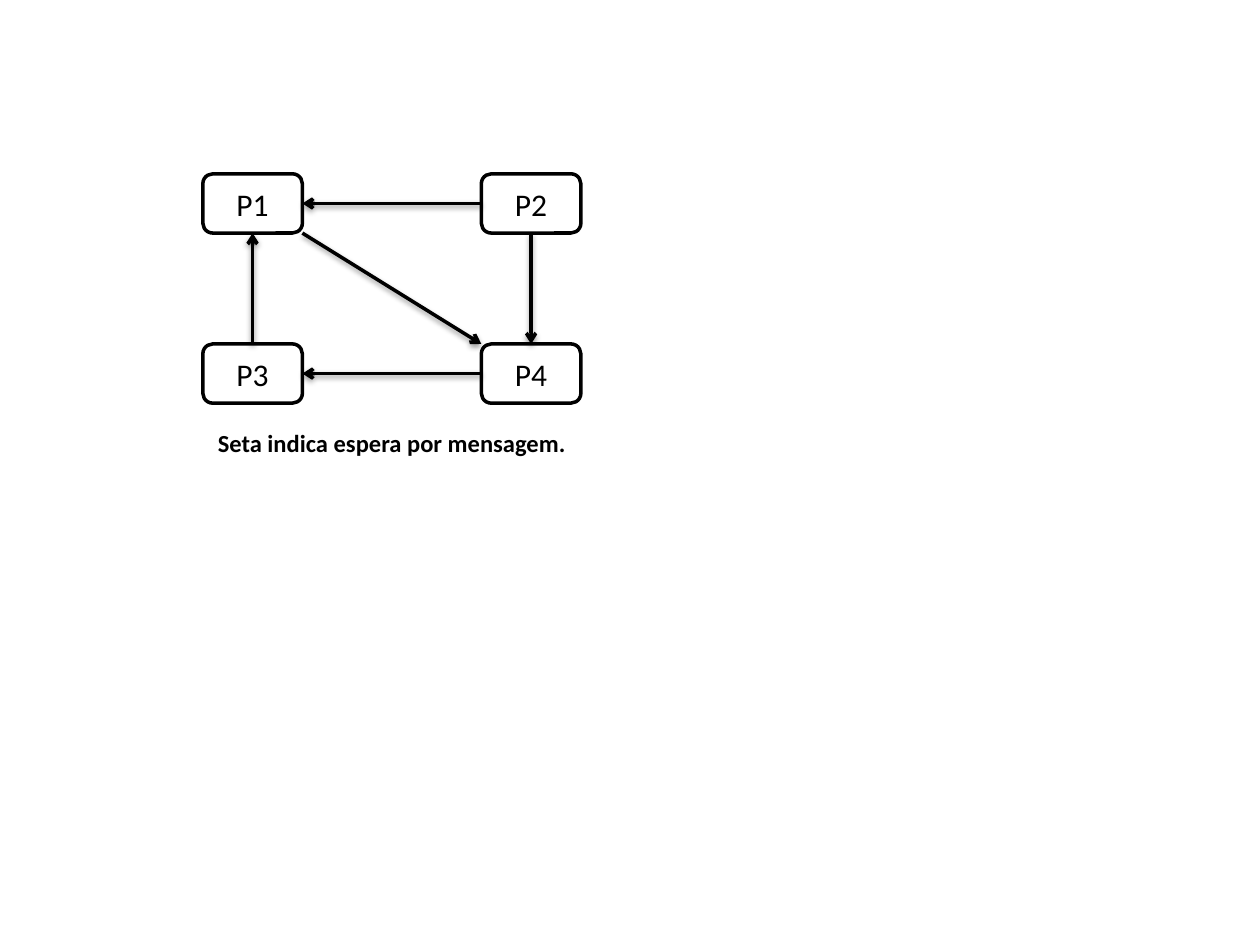
from lxml import etree
from pptx import Presentation
from pptx.dml.color import RGBColor
from pptx.enum.shapes import MSO_CONNECTOR, MSO_SHAPE
from pptx.enum.text import MSO_ANCHOR, MSO_AUTO_SIZE, PP_ALIGN
from pptx.oxml import parse_xml
from pptx.oxml.ns import qn
from pptx.util import Inches, Pt

BLACK = RGBColor(0, 0, 0)
WHITE = RGBColor(255, 255, 255)
STRAIGHT = MSO_CONNECTOR.STRAIGHT
ROUNDED = MSO_SHAPE.ROUNDED_RECTANGLE
MIDDLE = MSO_ANCHOR.MIDDLE
CENTER = PP_ALIGN.CENTER
FIT_SHAPE = MSO_AUTO_SIZE.SHAPE_TO_FIT_TEXT

# Grid of process boxes, in inches
LEFT, TOP = 1.61, 1.38
COL, ROW = 2.21, 1.35
BOX_W, BOX_H = 0.79, 0.47

SHADOW = (
    '<a:effectLst xmlns:a="http://schemas.openxmlformats.org/drawingml/2006/main">'
    '<a:outerShdw blurRad="40000" dist="20000" dir="5400000" rotWithShape="0">'
    '<a:srgbClr val="000000"><a:alpha val="38000"/></a:srgbClr>'
    '</a:outerShdw></a:effectLst>'
)


def write(sp, text, size, bold=False):
    p = sp.text_frame.paragraphs[0]
    p.alignment = CENTER
    r = p.add_run()
    r.text = text
    r.font.color.rgb = BLACK
    for name, value in {"name": "Calibri", "size": Pt(size), "bold": bold}.items():
        setattr(r.font, name, value)


prs = Presentation()
prs.slide_width, prs.slide_height = Inches(10), Inches(7.5)
s = prs.slides.add_slide(prs.slide_layouts[6])

# Processes: (column, row)
processes = {"P1": (0, 0), "P2": (1, 0), "P3": (0, 1), "P4": (1, 1)}
boxes = {}
for name, (col, row) in processes.items():
    sp = s.shapes.add_shape(ROUNDED, Inches(LEFT + col * COL), Inches(TOP + row * ROW),
                            Inches(BOX_W), Inches(BOX_H))
    sp.shadow.inherit = False
    sp.fill.solid()
    sp.fill.fore_color.rgb = WHITE
    sp.line.color.rgb = BLACK
    sp.line.width = Pt(2)
    sp.text_frame.vertical_anchor = MIDDLE
    write(sp, name, 18)
    boxes[name] = sp

# Waiting arrows: each end is a box and a point as shares of its width and height
TOP_MID, BOTTOM_MID = (0.5, 0), (0.5, 1)
LEFT_MID, RIGHT_MID = (0, 0.5), (1, 0.5)
arrows = [
    ("P2", BOTTOM_MID, "P4", TOP_MID),
    ("P2", LEFT_MID, "P1", RIGHT_MID),
    ("P4", LEFT_MID, "P3", RIGHT_MID),
    ("P3", TOP_MID, "P1", BOTTOM_MID),
    ("P1", (1, 1), "P4", (0, 0)),
]
for start, start_at, end, end_at in arrows:
    ends = []
    for name, (fx, fy) in ((start, start_at), (end, end_at)):
        box = boxes[name]
        ends += [int(box.left + fx * box.width), int(box.top + fy * box.height)]
    line = s.shapes.add_connector(STRAIGHT, *ends)
    line.line.color.rgb = BLACK
    line.line.width = Pt(2)
    etree.SubElement(line.line._get_or_add_ln(), qn("a:tailEnd"), type="arrow")
    line._element.spPr.append(parse_xml(SHADOW))

# Caption
caption = s.shapes.add_textbox(Inches(LEFT), Inches(3.35), Inches(COL + BOX_W), Inches(0.34))
caption.text_frame.word_wrap = True
caption.text_frame.auto_size = FIT_SHAPE
write(caption, "Seta indica espera por mensagem.", 14, bold=True)

prs.save("out.pptx")
